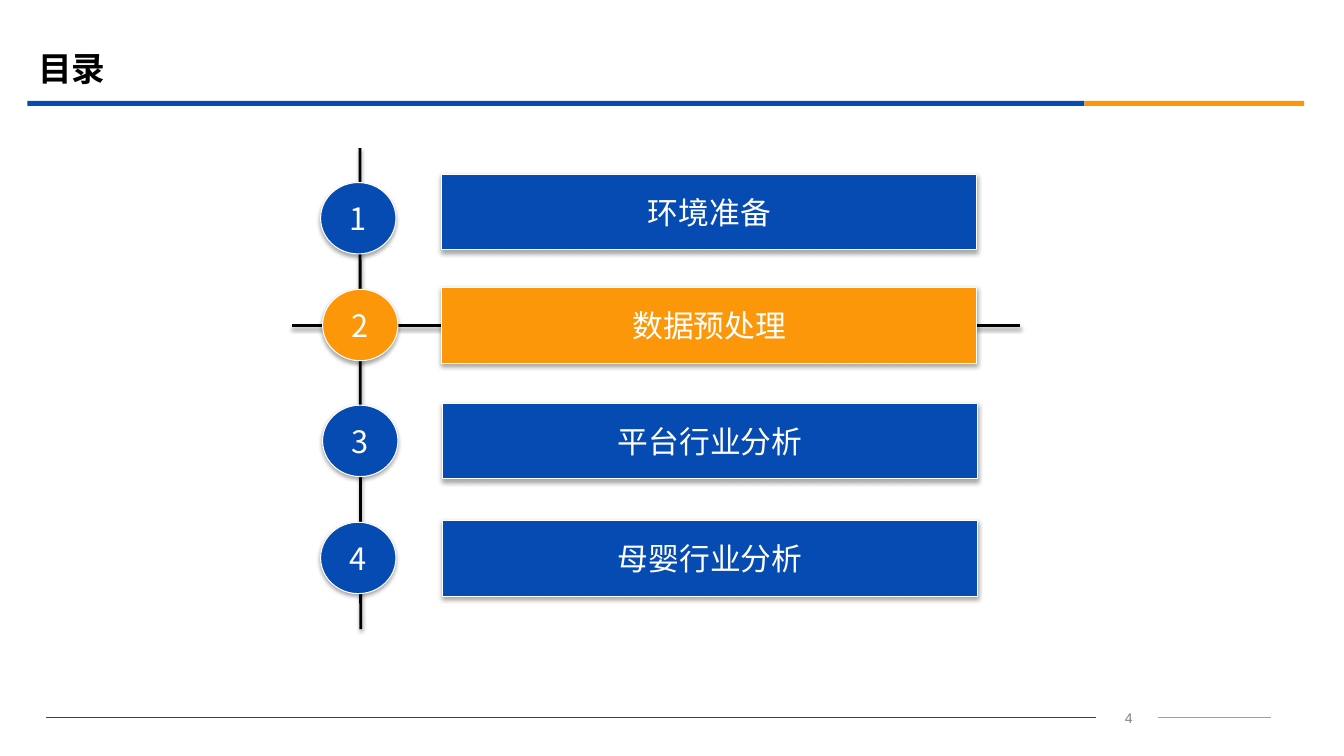
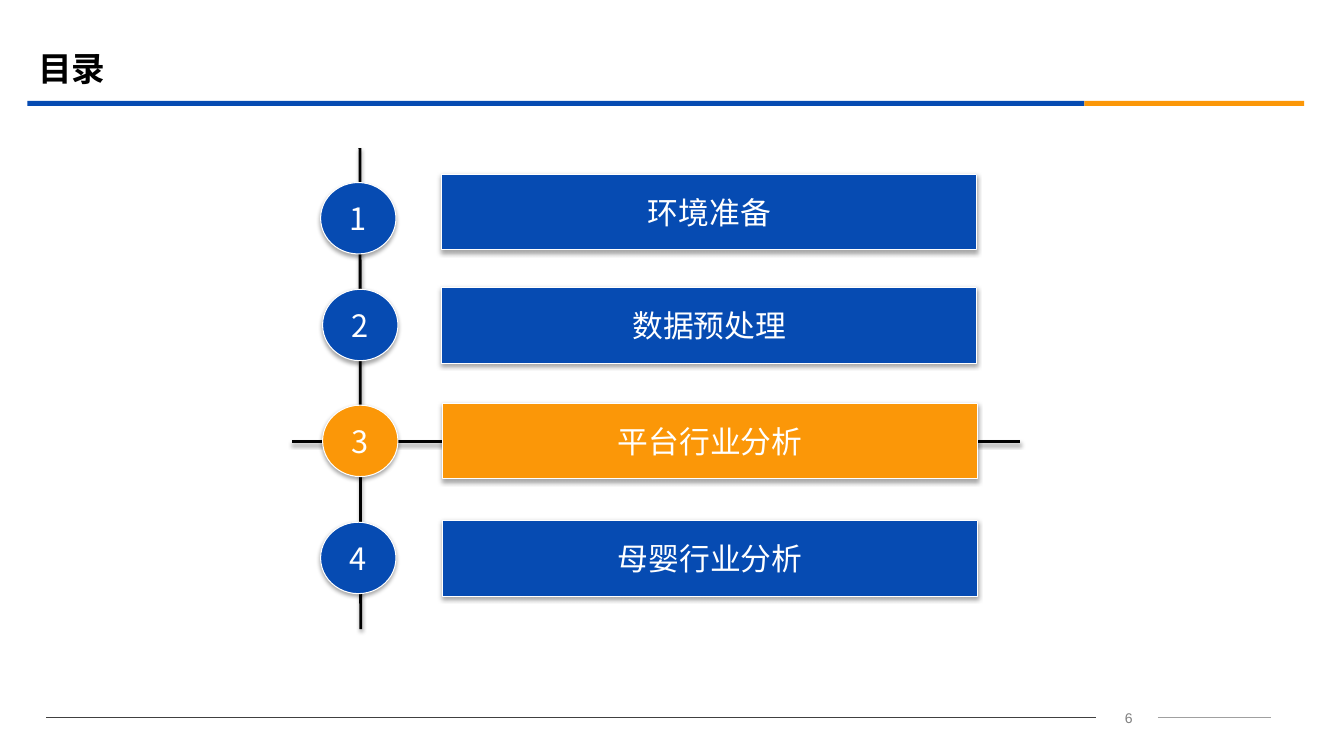
from dataclasses import dataclass

from lxml.etree import SubElement
from pptx import Presentation
from pptx.dml.color import RGBColor
from pptx.enum.shapes import MSO_CONNECTOR as Link, MSO_SHAPE as Kind
from pptx.enum.text import MSO_ANCHOR as Anchor, MSO_AUTO_SIZE as Fit, PP_ALIGN as Align
from pptx.oxml.ns import qn
from pptx.slide import Slide
from pptx.util import Cm, Pt

BLUE, ORANGE, BLACK, WHITE = "064BB2", "FB9708", "000000", "FFFFFF"
DARK, PALE, GREY = "404040", "A0A0A0", "7F7F7F"
HAN = "Noto Sans CJK SC"
BAR_W, BAR_H = 13.49, 1.91
DISC_W, DISC_H = 1.9, 1.8


@dataclass(frozen=True)
class Topic:
    """One agenda row; places in centimetres."""
    text: str
    bar_x: float
    bar_y: float
    disc_x: float
    disc_y: float

    @property
    def middle(self) -> float:
        return self.bar_y + BAR_H / 2


@dataclass(frozen=True)
class Page:
    number: int
    active: int


TOPICS = (
    Topic("环境准备", 11.13, 4.39, 8.08, 4.6),
    Topic("数据预处理", 11.13, 7.24, 8.13, 7.29),
    Topic("平台行业分析", 11.15, 10.16, 8.13, 10.21),
    Topic("母婴行业分析", 11.15, 13.11, 8.08, 13.16),
)
PAGES = (Page(4, 2), Page(6, 3))


def color(code: str) -> RGBColor:
    return RGBColor.from_string(code)


def shade(item, alpha: int = 0, drop: float = 0) -> None:
    """Set a soft shadow below the item, or none when alpha is 0."""
    effects = SubElement(item._element.spPr, qn("a:effectLst"))
    if alpha:
        outer = SubElement(effects, qn("a:outerShdw"), blurRad=str(Pt(3.1)),
                           dist=str(Pt(drop)), dir="5400000", rotWithShape="0")
        tint = SubElement(outer, qn("a:srgbClr"), val=BLACK)
        SubElement(tint, qn("a:alpha"), val=str(alpha * 1000))


def write(frame, text: str, size: int, code: str, face: str = HAN,
          align: Align = Align.CENTER, bold: bool = False) -> None:
    frame.text = text
    para = frame.paragraphs[0]
    para.alignment = align
    font = para.font
    font.name, font.size, font.bold = face, Pt(size), bold
    font.color.rgb = color(code)
    # East Asian text takes its own typeface
    SubElement(para._p.pPr.find(qn("a:defRPr")), qn("a:ea"), typeface=face)


def rule(slide: Slide, x1: float, y1: float, x2: float, y2: float,
         code: str, width: float, alpha: int = 0) -> None:
    line = slide.shapes.add_connector(Link.STRAIGHT, Cm(x1), Cm(y1), Cm(x2), Cm(y2))
    line.line.color.rgb = color(code)
    line.line.width = Pt(width)
    shade(line, alpha, 1.6)


def block(slide: Slide, kind: Kind, x: float, y: float, w: float, h: float,
          code: str, text: str = "") -> None:
    shape = slide.shapes.add_shape(kind, Cm(x), Cm(y), Cm(w), Cm(h))
    shape.fill.solid()
    shape.fill.fore_color.rgb = color(code)
    if not text:
        shape.line.fill.background()
        shade(shape)
        return
    shape.line.color.rgb = color(WHITE)
    shape.line.width = Pt(0.75)
    shade(shape, 35, 1.8)
    frame = shape.text_frame
    frame.word_wrap = False
    frame.vertical_anchor = Anchor.MIDDLE
    write(frame, text, 22, WHITE)


def dress(slide: Slide, title: str, number: int) -> None:
    """Title, header band and footer."""
    head = slide.shapes.title
    head.left, head.top, head.width, head.height = Cm(0.71), Cm(0.99), Cm(30.48), Cm(1.47)
    head.text_frame.auto_size = Fit.NONE
    head.text_frame.vertical_anchor = Anchor.MIDDLE
    write(head.text_frame, title, 24, BLACK, align=Align.LEFT, bold=True)

    block(slide, Kind.RECTANGLE, 0.69, 2.54, 26.64, 0.13, BLUE)
    block(slide, Kind.RECTANGLE, 27.33, 2.54, 5.54, 0.13, ORANGE)

    rule(slide, 1.17, 18.08, 27.61, 18.08, DARK, 0.75)
    rule(slide, 29.18, 18.08, 32.03, 18.08, PALE, 0.75)
    box = slide.shapes.add_textbox(Cm(27.66), Cm(17.75), Cm(1.57), Cm(0.64))
    box.text_frame.word_wrap = True
    write(box.text_frame, str(number), 10, GREY, "Arial")


def agenda(slide: Slide, active: int) -> None:
    # Axes behind the rows
    rule(slide, 9.07, 3.73, 9.09, 15.85, BLACK, 2, 38)
    level = TOPICS[active - 1].middle
    rule(slide, 7.37, level, 25.7, level, BLACK, 2, 38)
    # Numbered rows
    for index, topic in enumerate(TOPICS, 1):
        code = ORANGE if index == active else BLUE
        block(slide, Kind.ACTION_BUTTON_CUSTOM, topic.bar_x, topic.bar_y,
              BAR_W, BAR_H, code, topic.text)
        block(slide, Kind.OVAL, topic.disc_x, topic.disc_y,
              DISC_W, DISC_H, code, str(index))


def main() -> None:
    deck = Presentation()
    deck.slide_width, deck.slide_height = Cm(33.87), Cm(19.05)
    layout = deck.slide_layouts[5]
    for page in PAGES:
        slide = deck.slides.add_slide(layout)
        dress(slide, "目录", page.number)
        agenda(slide, page.active)
    deck.save("out.pptx")


if __name__ == "__main__":
    main()
